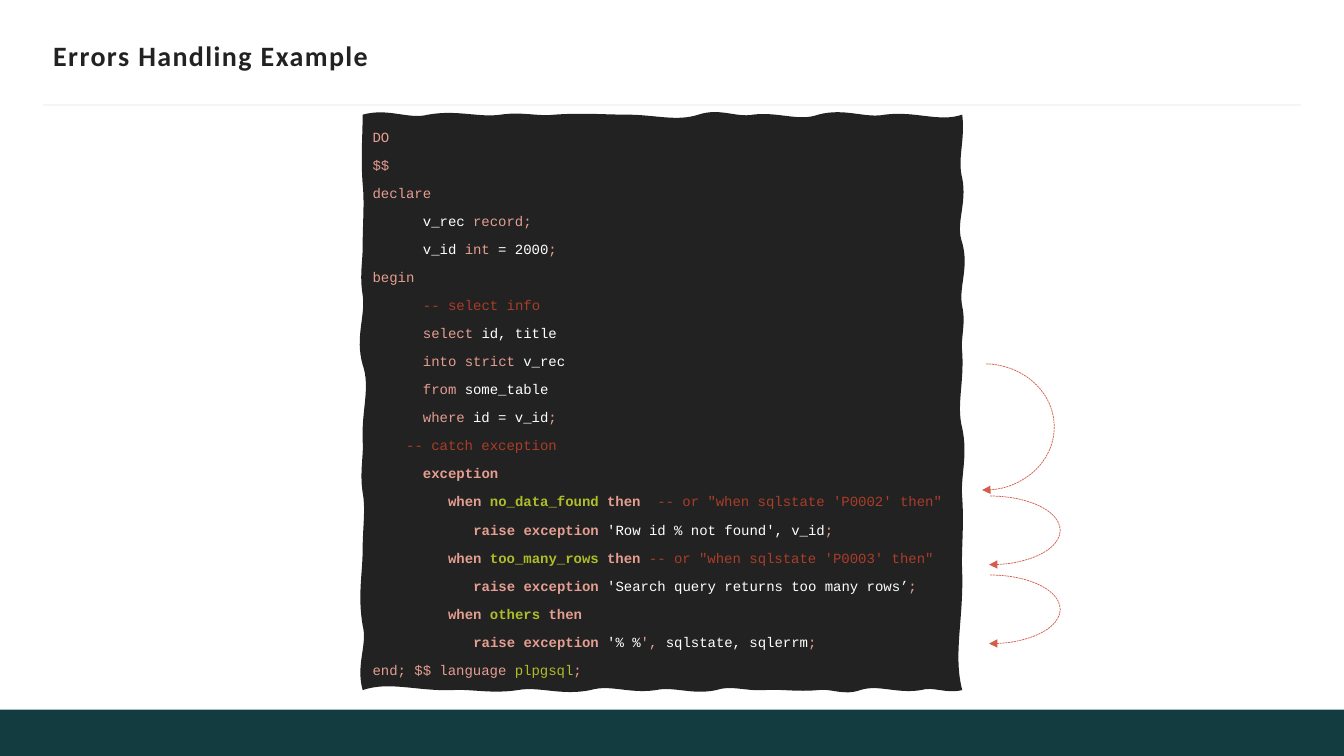
import pptx
import pptx.dml.color
import pptx.enum.dml
import pptx.enum.shapes
import pptx.enum.text
import pptx.oxml
import pptx.oxml.ns
import pptx.util

Cm = pptx.util.Cm
Pt = pptx.util.Pt
SHAPES = pptx.enum.shapes.MSO_SHAPE

CHARACTER = Pt(6)  # advance of one Courier New character at 10 pt

STYLES = {  # colour, bold
    "keyword": ("E59E91", False),
    "strong": ("E59E91", True),
    "plain": ("FFFFFF", False),
    "comment": ("AB3D29", False),
    "condition": ("AEBD28", True),
    "language": ("AEBD28", False),
}

# Indent in characters, then the styled pieces of the line
CODE = [
    (0, [("keyword", "DO")]),
    (0, [("keyword", "$$")]),
    (0, [("keyword", "declare")]),
    (6, [("plain", "v_rec "), ("keyword", "record;")]),
    (6, [("plain", "v_id "), ("keyword", "int "), ("plain", "= 2000"), ("keyword", ";")]),
    (0, [("keyword", "begin")]),
    (6, [("comment", "-- select info")]),
    (6, [("keyword", "select "), ("plain", "id, title")]),
    (6, [("keyword", "into strict "), ("plain", "v_rec")]),
    (6, [("keyword", "from "), ("plain", "some_table")]),
    (6, [("keyword", "where "), ("plain", "id = v_id"), ("keyword", ";")]),
    (4, [("comment", "-- catch exception")]),
    (6, [("strong", "exception")]),
    (9, [("strong", "when "), ("condition", "no_data_found "), ("strong", "then  "),
         ("comment", "-- or \"when sqlstate 'P0002' then\"")]),
    (12, [("strong", "raise exception "), ("plain", "'Row id % not found', v_id"),
          ("keyword", ";")]),
    (9, [("strong", "when "), ("condition", "too_many_rows"), ("strong", " then "),
         ("comment", "-- or \"when sqlstate 'P0003' then\"")]),
    (12, [("strong", "raise exception "), ("plain", "'Search query returns too many rows’"),
          ("keyword", ";")]),
    (9, [("strong", "when "), ("condition", "others"), ("strong", " then")]),
    (12, [("strong", "raise exception "), ("plain", "'% %"), ("keyword", "', "),
          ("plain", "sqlstate, sqlerrm"), ("keyword", ";")]),
    (0, [("keyword", "end; $$ language "), ("language", "plpgsql"), ("keyword", ";")]),
]

# Clockwise edges of the torn panel, in cm: direction, first sway,
# then (distance along the edge, inward sway) of each wave
TORN_EDGES = [
    ((1, 0), -0.18, [(1.65, 0.13), (3.48, 0.08), (4.83, 0.05), (6.65, 0), (8.46, 0.18),
                     (9.83, 0.08), (11.48, 0.18), (13.16, 0.1), (15.11, 0.2)]),
    ((0, 1), -0.08, [(1.6, 0.13), (3.23, 0.18), (4.83, 0.1), (5.99, 0.05), (7.9, 0.15),
                     (9.65, 0.05), (11.56, 0.03), (14.5, 0.23)]),
    ((-1, 0), -0.1, [(1.04, 0.1), (2.57, 0.15), (3.63, 0.05), (4.98, 0.03), (6.2, 0.13),
                     (7.72, 0.1), (9.37, 0.15), (11.2, 0.1), (12.85, 0.03), (15.11, 0.23)]),
    ((0, -1), -0.18, [(1.63, 0.13), (3.53, 0), (4.98, 0.08), (6.3, 0.03), (8.2, 0.2),
                      (9.96, 0.08), (11.15, 0), (12.75, 0.05), (14.5, 0)]),
]


def colour(hex_string):
    return pptx.dml.color.RGBColor.from_string(hex_string)


def fill_plain(shape, hex_string):
    shape.shadow.inherit = False
    shape.fill.solid()
    shape.fill.fore_color.rgb = colour(hex_string)
    shape.line.fill.background()


def add_title(slide, left, top, width, height):
    title = slide.shapes.title
    title.left, title.top, title.width, title.height = left, top, width, height
    frame = title.text_frame
    frame.text = "Errors Handling Example"
    frame.margin_left = frame.margin_right = 0
    frame.word_wrap = False
    frame.auto_size = pptx.enum.text.MSO_AUTO_SIZE.NONE
    frame.vertical_anchor = pptx.enum.text.MSO_ANCHOR.MIDDLE
    heading = frame.paragraphs[0]
    heading.alignment = pptx.enum.text.PP_ALIGN.LEFT
    heading.font.name = "Calibri"
    heading.font.size = Pt(20)
    heading.font.bold = True
    heading.font.color.rgb = colour("222222")
    heading.runs[0].font._element.set("spc", "100")


def add_divider(slide, left, top, width):
    divider = slide.shapes.add_connector(
        pptx.enum.shapes.MSO_CONNECTOR.STRAIGHT, left, top, left + width, top)
    divider.line.color.rgb = colour("F5F5F5")
    divider.line.width = Pt(1.5)
    divider._element.spPr.append(pptx.oxml.parse_xml(
        f'<a:effectLst {pptx.oxml.ns.nsdecls("a")}/>'))


def add_footer_band(slide, left, top, width, height):
    band = slide.shapes.add_shape(SHAPES.RECTANGLE, left, top, width, height)
    fill_plain(band, "133C41")


def torn_outline(left, top):
    """Give two control points and an end point for each wave, clockwise."""
    x, y = left, top
    points = []
    for (dx, dy), sway, waves in TORN_EDGES:
        start = 0
        for stop, arrival in waves:
            span = stop - start
            for along, inward in ((start + 0.4 * span, sway),
                                  (start + 0.7 * span, arrival), (stop, 0)):
                points.append((x + Cm(along) * dx - Cm(inward) * dy,
                               y + Cm(along) * dy + Cm(inward) * dx))
            start, sway = stop, -arrival
        x, y = points[-1]
    return points


def bend_segments(freeform):
    """Turn every three straight segments into one cubic curve."""
    qn = pptx.oxml.ns.qn
    segments = list(freeform._element.iter(qn("a:lnTo")))
    for first in range(0, len(segments), 3):
        curve = pptx.oxml.parse_xml(f'<a:cubicBezTo {pptx.oxml.ns.nsdecls("a")}/>')
        segments[first].addprevious(curve)
        for segment in segments[first:first + 3]:
            curve.append(segment.find(qn("a:pt")))
            segment.getparent().remove(segment)


def add_code_panel(slide, left, top):
    builder = slide.shapes.build_freeform(left, top)
    builder.add_line_segments(torn_outline(left, top), close=True)
    panel = builder.convert_to_shape()
    bend_segments(panel)
    fill_plain(panel, "222222")
    frame = panel.text_frame
    frame.word_wrap = True
    frame.vertical_anchor = pptx.enum.text.MSO_ANCHOR.TOP
    frame.margin_left = left + Cm(0.25) - panel.left
    frame.margin_top = top + Cm(0.13) - panel.top
    frame.margin_right = frame.margin_bottom = 0
    for number, (indent, pieces) in enumerate(CODE):
        line = frame.add_paragraph() if number else frame.paragraphs[0]
        line.alignment = pptx.enum.text.PP_ALIGN.LEFT
        line.line_spacing = 1.5
        line.space_before = Pt(2)
        line.font.name = "Courier New"
        line.font.size = Pt(10)
        line._p.get_or_add_pPr().set("marL", str(indent * CHARACTER))
        for style, text in pieces:
            run = line.add_run()
            run.text = text
            hex_string, run.font.bold = STYLES[style]
            run.font.color.rgb = colour(hex_string)


def add_flow_arc(slide, left, top, width, height, start=162):
    arc = slide.shapes.add_shape(SHAPES.ARC, left, top, width, height)
    arc.adjustments[0] = start
    arc.adjustments[1] = 55.13
    arc.shadow.inherit = False
    arc.fill.background()
    arc.line.color.rgb = colour("D35D47")
    arc.line.width = Pt(0.5)
    arc.line.dash_style = pptx.enum.dml.MSO_LINE.SQUARE_DOT
    arc.line._get_or_add_ln().append(pptx.oxml.parse_xml(
        f'<a:tailEnd {pptx.oxml.ns.nsdecls("a")} type="triangle"/>'))


def main():
    presentation = pptx.Presentation()
    presentation.slide_width, presentation.slide_height = Cm(33.87), Cm(19.05)
    slide = presentation.slides.add_slide(presentation.slide_layouts[5])
    add_footer_band(slide, 0, Cm(17.88), presentation.slide_width, Cm(1.17))
    add_divider(slide, Cm(1.08), Cm(2.65), Cm(31.7))
    add_title(slide, Cm(1.34), Cm(0.84), Cm(31.22), Cm(1.12))
    add_code_panel(slide, Cm(9.14), Cm(2.89))
    for top in (12.5, 14.49):
        add_flow_arc(slide, Cm(23.19), Cm(top), Cm(3.53), Cm(1.73))
    add_flow_arc(slide, Cm(23.04), Cm(9.17), Cm(3.53), Cm(3.18), start=163.03)
    presentation.save("out.pptx")


if __name__ == "__main__":
    main()
